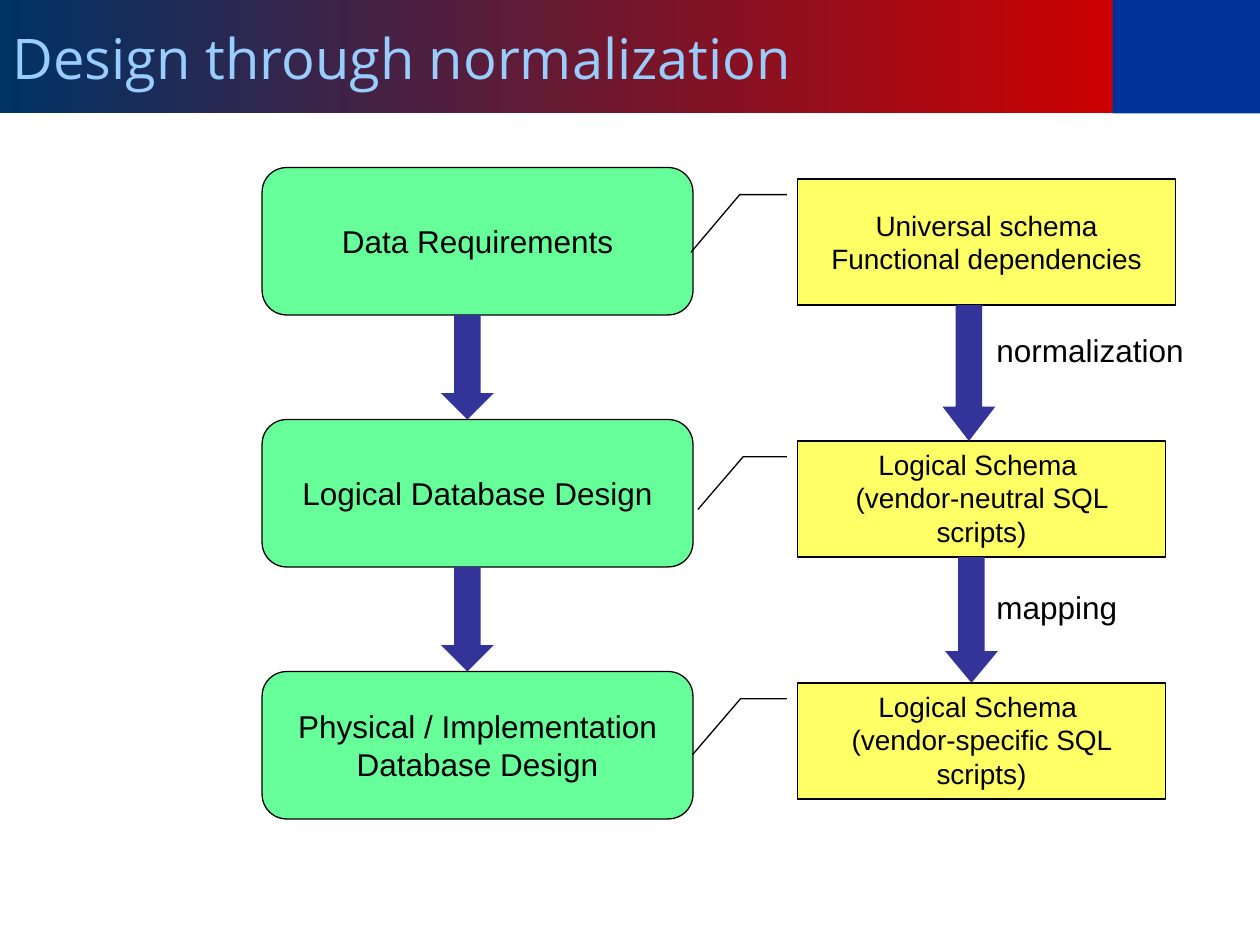
from pptx import Presentation
from pptx.dml.color import RGBColor
from pptx.enum.shapes import MSO_SHAPE
from pptx.enum.text import MSO_ANCHOR, MSO_AUTO_SIZE, PP_ALIGN
from pptx.util import Inches, Pt

RECT = MSO_SHAPE.RECTANGLE
ROUNDED = MSO_SHAPE.ROUNDED_RECTANGLE
CALLOUT = MSO_SHAPE.LINE_CALLOUT_2
DOWN_ARROW = MSO_SHAPE.DOWN_ARROW
TOP, MIDDLE = MSO_ANCHOR.TOP, MSO_ANCHOR.MIDDLE
LEFT, CENTER = PP_ALIGN.LEFT, PP_ALIGN.CENTER
NO_FIT, GROW = MSO_AUTO_SIZE.NONE, MSO_AUTO_SIZE.SHAPE_TO_FIT_TEXT


def rgb(color):
    return RGBColor.from_string(color)


def write(sp, *lines, size=18, color="000000", font="Arial", align=CENTER,
          anchor=MIDDLE, wrap=True, fit=NO_FIT):
    tf = sp.text_frame
    tf.auto_size = fit
    tf.word_wrap = wrap
    tf.vertical_anchor = anchor
    for i, line in enumerate(lines):
        p = tf.add_paragraph() if i else tf.paragraphs[0]
        p.alignment = align
        r = p.add_run()
        r.text = line
        r.font.size = Pt(size)
        r.font.name = font
        r.font.color.rgb = rgb(color)


def add_shape(s, kind, x, y, w, h, fill, line=None, adj=()):
    sp = s.shapes.add_shape(kind, Inches(x), Inches(y), Inches(w), Inches(h))
    sp.shadow.inherit = False
    sp.fill.solid()
    sp.fill.fore_color.rgb = rgb(fill)
    if line:
        sp.line.color.rgb = rgb(line)
        sp.line.width = Pt(0.75)
    else:
        sp.line.fill.background()
    for i, value in enumerate(adj):
        sp.adjustments[i] = value
    return sp


def add_title(s, text):
    sp = s.shapes.title
    sp.left, sp.top = Inches(0), Inches(0)
    sp.width, sp.height = Inches(8.84), Inches(0.9)
    sp.fill.gradient()
    sp.fill.gradient_angle = 0
    for stop, color in zip(sp.fill.gradient_stops, ("003366", "CC0000")):
        stop.color.rgb = rgb(color)
    write(sp, text, size=32, color="99CCFF", font="Open Sans", align=LEFT)


def add_step(s, y, text, wrap):
    sp = add_shape(s, ROUNDED, 2.08, y, 3.42, 1.17, "66FF99", "000000", [0.167])
    write(sp, text, wrap=wrap)


def add_callout(s, y, w, h, adj, lines, anchor):
    sp = add_shape(s, CALLOUT, 6.33, y, w, h, "FFFF66", "000000", adj)
    write(sp, *lines, size=16, anchor=anchor)


def add_arrow(s, x, y, h, head=0.5):
    add_shape(s, DOWN_ARROW, x, y, 0.42, h, "333399", adj=[0.5, head])


def add_label(s, y, w, text):
    sp = s.shapes.add_textbox(Inches(7.81), Inches(y), Inches(w), Inches(0.4))
    write(sp, text, align=LEFT, anchor=TOP, wrap=False, fit=GROW)


def main():
    prs = Presentation()
    prs.slide_width, prs.slide_height = Inches(10), Inches(7.5)
    s = prs.slides.add_slide(prs.slide_layouts[5])

    add_shape(s, RECT, 8.83, 0, 1.17, 0.9, "003399")
    add_title(s, "Design through normalization")

    steps = [
        ("Data Requirements", False),
        ("Logical Database Design", False),
        ("Physical / Implementation Database Design", True),
    ]
    for i, (text, wrap) in enumerate(steps):
        add_step(s, 1.33 + 2 * i, text, wrap)

    callouts = [
        (1.42, 3, 1, [0.125, -0.028, 0.125, -0.153, 0.583, -0.282],
         ["Universal schema", "Functional dependencies"], MIDDLE),
        (3.5, 2.92, 0.92, [0.136, -0.029, 0.136, -0.148, 0.591, -0.271],
         ["Logical Schema ", "(vendor-neutral SQL scripts)"], TOP),
        (5.42, 2.92, 0.92, [0.136, -0.029, 0.136, -0.155, 0.621, -0.286],
         ["Logical Schema ", "(vendor-specific SQL scripts)"], TOP),
    ]
    for callout in callouts:
        add_callout(s, *callout)

    for y in (2.5, 4.5):
        add_arrow(s, 3.5, y, 0.83)
    add_arrow(s, 7.48, 2.42, 1.08, 0.65)
    add_arrow(s, 7.5, 4.42, 1, 0.6)
    add_label(s, 2.58, 1.69, "normalization")
    add_label(s, 4.62, 1.16, "mapping")

    prs.save("out.pptx")


main()
